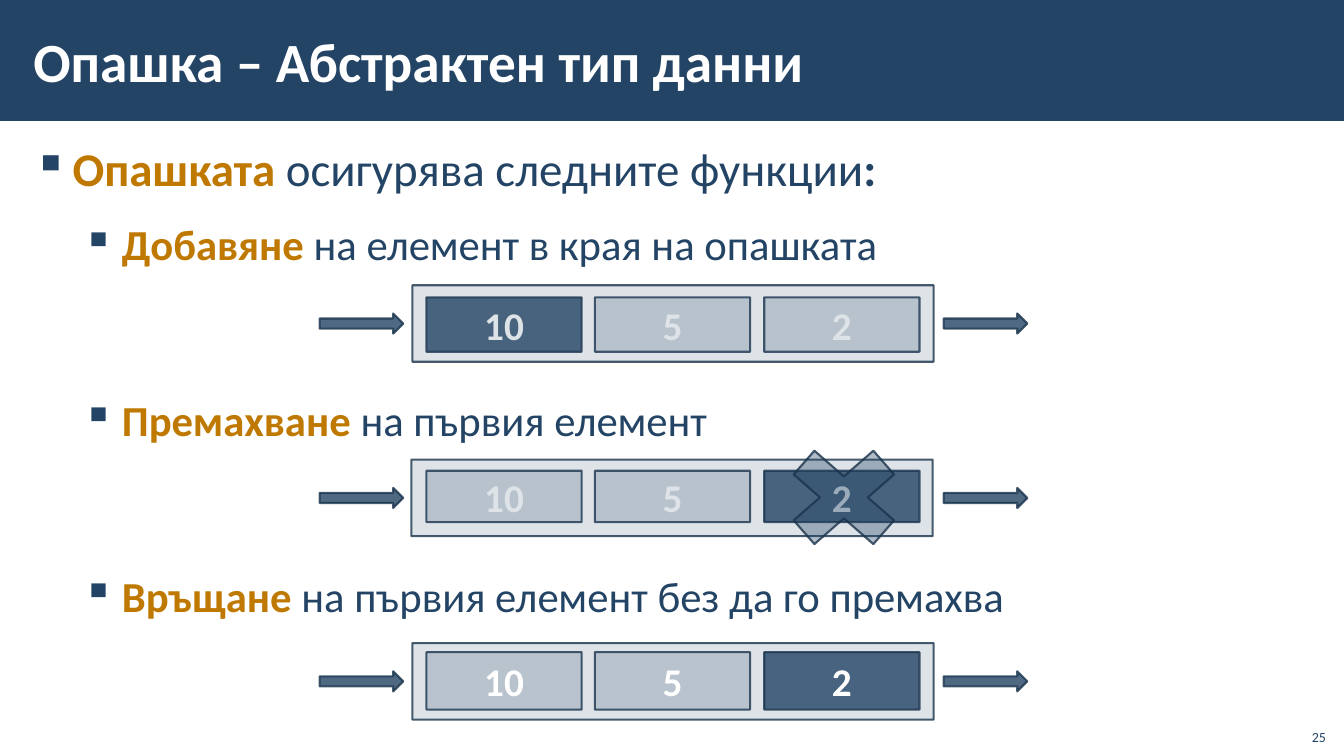
"""Build the slide about the queue as an abstract data type."""
from lxml.etree import SubElement
from pptx import Presentation
from pptx.dml.color import RGBColor
from pptx.enum.shapes import MSO_SHAPE
from pptx.enum.text import MSO_ANCHOR, MSO_AUTO_SIZE, PP_ALIGN
from pptx.oxml.ns import qn
from pptx.util import Emu, Pt

PX = 9144
NAVY, DARK, GOLD, WHITE = "234465", "1A334C", "BF7800", "FFFFFF"


def paint(fill, colour, opacity=100):
    fill.solid()
    fill.fore_color.rgb = RGBColor.from_string(colour)
    if opacity < 100:
        tint = fill._xPr.find(qn("a:solidFill"))[0]
        SubElement(tint, qn("a:alpha")).set("val", str(opacity * 1000))


def write(para, text, size, colour, bold=False, align=PP_ALIGN.LEFT):
    para.alignment = align
    span = para.add_run()
    span.text = text
    span.font.name = "Calibri"
    span.font.size = Pt(size)
    span.font.bold = bold
    paint(span.font.fill, colour)


deck = Presentation()
deck.slide_width, deck.slide_height = Emu(1333 * PX), Emu(750 * PX)
page = deck.slides.add_slide(deck.slide_layouts[5])

title = page.shapes.title
title.left, title.top, title.width, title.height = [Emu(n * PX) for n in (21, 11, 1123, 97)]
band = page.shapes.add_shape(MSO_SHAPE.RECTANGLE, 0, 0, deck.slide_width, Emu(120 * PX))
band.shadow.inherit = False
paint(band.fill, NAVY)
band.line.fill.background()
title.element.addprevious(band.element)

body = page.shapes.add_textbox(*[Emu(n * PX) for n in (21, 132, 1292, 604)])
for box, anchor in ((title, MSO_ANCHOR.MIDDLE), (body, MSO_ANCHOR.TOP)):
    frame = box.text_frame
    frame.auto_size = MSO_AUTO_SIZE.NONE
    frame.word_wrap = True
    frame.vertical_anchor = anchor
    frame.margin_left = frame.margin_right = Emu(12 * PX)
    frame.margin_top = frame.margin_bottom = Emu(4 * PX)
write(title.text_frame.paragraphs[0], "Опашка – Абстрактен тип данни", 39.5, WHITE, bold=True)

bullets = [
    (0, 33.5, 0, 6, "Опашката ", "осигурява следните функции", ":"),
    (1, 30.5, 8, 8, "Добавяне ", "на елемент в края на опашката", ""),
    (1, 30.5, 79, 8, "Премахване ", "на първия елемент", ""),
    (1, 30.5, 79, 8, "Връщане ", "на първия елемент без да го премахва", ""),
]
for number, (level, size, before, after, key, rest, ending) in enumerate(bullets):
    para = body.text_frame.add_paragraph() if number else body.text_frame.paragraphs[0]
    properties = para._p.get_or_add_pPr()
    properties.set("marL", str((39 + 49 * level) * PX))
    properties.set("indent", str(-39 * PX))
    SubElement(SubElement(properties, qn("a:buClr")), qn("a:srgbClr")).set("val", NAVY)
    SubElement(properties, qn("a:buChar")).set("char", "▪")
    para.level = level
    para.line_spacing = 1.05
    para.space_before, para.space_after = Pt(before), Pt(after)
    write(para, key, size, GOLD, bold=True)
    write(para, rest, size, NAVY)
    if ending:
        write(para, ending, size, NAVY, bold=True)

queues = [
    (409, 283, 12, 54, "10", True),
    (408, 456, 11, 51, "2", True),
    (409, 638, 9, 57, "2", False),
]
for left, top, inset, height, active, frame_in_front in queues:
    cells = [
        (MSO_SHAPE.RECTANGLE, 423 + 335 * column // 2, top + inset, 154, height,
         80 if value == active else 20, value)
        for column, value in enumerate(("10", "5", "2"))
    ]
    outline = [(MSO_SHAPE.RECTANGLE, left, top, 517, 76, 15, "")]
    arrows = [(MSO_SHAPE.RIGHT_ARROW, x, top + 28, 83, 20, 80, "") for x in (317, 936)]
    parts = (cells + outline if frame_in_front else outline + cells) + arrows
    if top == 456:
        parts.append((MSO_SHAPE.MATH_MULTIPLY, 761, 427, 152, 133, 35, ""))
    for kind, x, y, width, tall, opacity, value in parts:
        shape = page.shapes.add_shape(kind, *[Emu(n * PX) for n in (x, y, width, tall)])
        shape.shadow.inherit = False
        paint(shape.fill, NAVY, opacity)
        paint(shape.line.fill, DARK, 80)
        shape.line.width = Pt(1.5)
        if value:
            shape.text_frame.vertical_anchor = MSO_ANCHOR.MIDDLE
            write(shape.text_frame.paragraphs[0], value, 28, WHITE, bold=True, align=PP_ALIGN.CENTER)

page_number = page.shapes.add_textbox(*[Emu(n * PX) for n in (1285, 712, 40, 32)])
page_number.text_frame.word_wrap = True
page_number.text_frame.vertical_anchor = MSO_ANCHOR.BOTTOM
write(page_number.text_frame.paragraphs[0], "25", 10, NAVY, align=PP_ALIGN.RIGHT)

deck.save("out.pptx")
